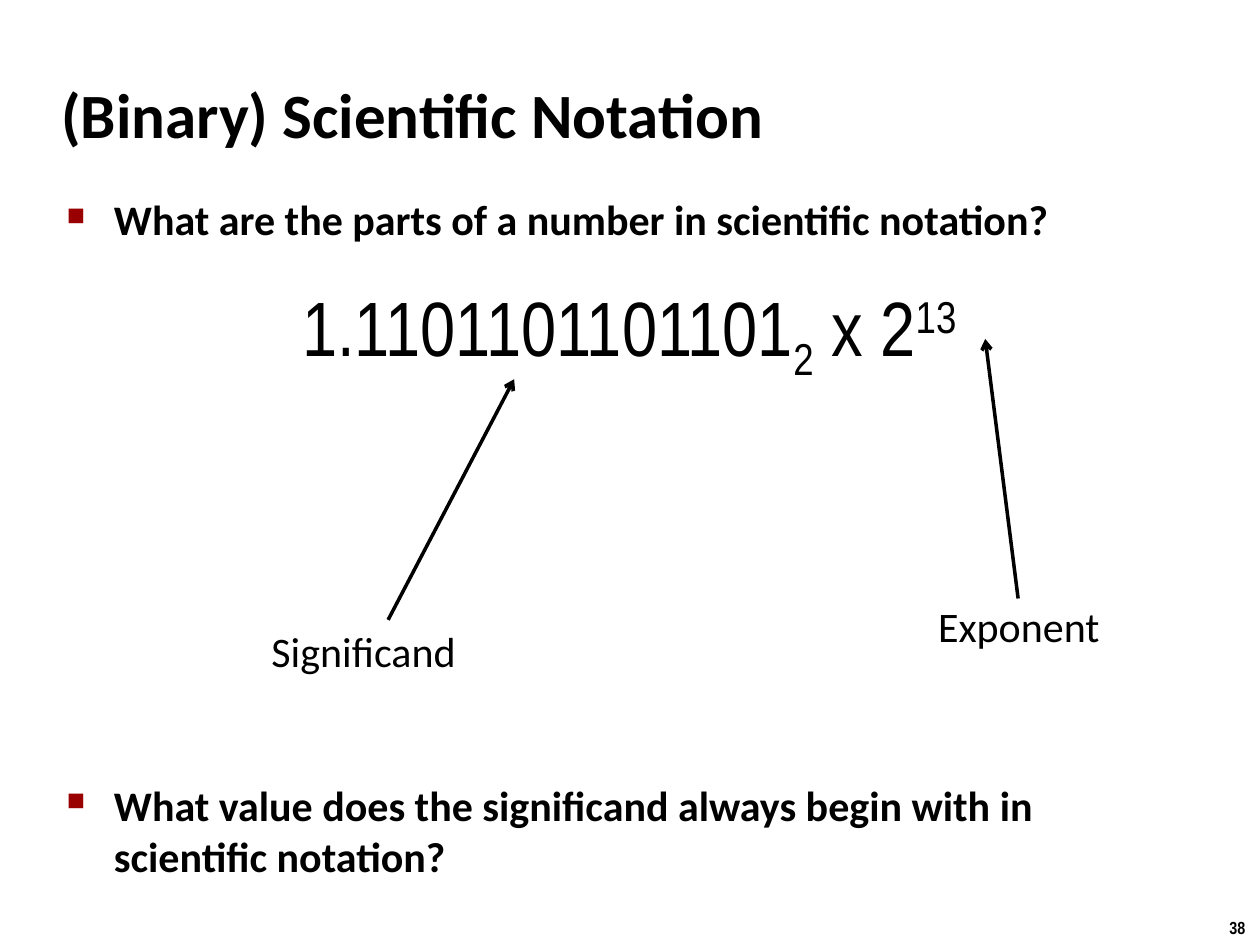
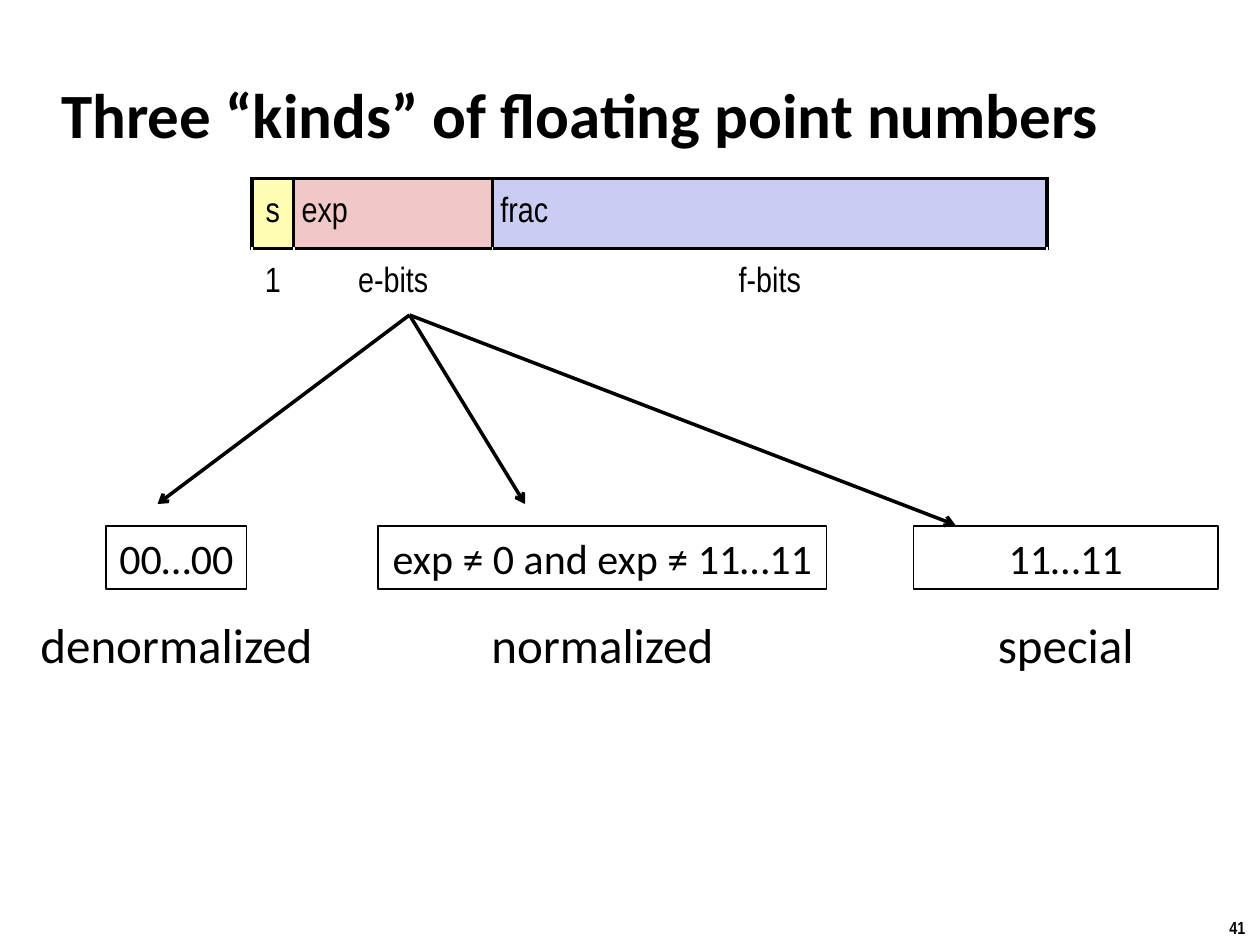
"""Build two slides on binary scientific notation and floating point numbers."""
from dataclasses import dataclass

from lxml import etree
from pptx import Presentation
from pptx.dml.color import RGBColor
from pptx.enum.shapes import MSO_CONNECTOR, MSO_SHAPE
from pptx.enum.text import MSO_ANCHOR, PP_ALIGN
from pptx.oxml.ns import qn
from pptx.slide import Slide
from pptx.table import _Cell
from pptx.text.text import TextFrame, _Paragraph
from pptx.util import Pt

STRAIGHT = MSO_CONNECTOR.STRAIGHT
RECTANGLE = MSO_SHAPE.RECTANGLE
TOP, MIDDLE = MSO_ANCHOR.TOP, MSO_ANCHOR.MIDDLE
LEFT, CENTER = PP_ALIGN.LEFT, PP_ALIGN.CENTER

BLACK = RGBColor(0x00, 0x00, 0x00)
BULLET_RED = RGBColor(0x99, 0x00, 0x00)
SIGN_YELLOW = RGBColor(0xFF, 0xFE, 0xB2)
EXPONENT_PINK = RGBColor(0xF1, 0xC7, 0xC7)
FRACTION_BLUE = RGBColor(0xCB, 0xCC, 0xF3)

BODY_FONT = "Calibri"
NARROW_FONT = "Arial Narrow"
BORDER_WIDTH = Pt(2)
CELL_INSET = Pt(4.5)
BULLET_INDENT = Pt(27)


@dataclass(frozen=True)
class Label:
    """A text box, in points, whose runs pair a text with a baseline percentage."""
    runs: list[tuple[str, int]]
    left: float
    top: float
    width: float
    height: float
    size: float = 24
    font: str = BODY_FONT
    bold: bool = False
    align: PP_ALIGN = CENTER
    anchor: MSO_ANCHOR = TOP
    wrap: bool = True
    outlined: bool = False


@dataclass(frozen=True)
class Arrow:
    """A straight arrow between two points."""
    start: tuple[float, float]
    end: tuple[float, float]


@dataclass(frozen=True)
class BitField:
    """One column of the bit layout table."""
    name: str
    bits: str
    width: float
    color: RGBColor
    align: PP_ALIGN = LEFT


@dataclass(frozen=True)
class NumberKind:
    """A kind of floating point number and its exponent pattern."""
    name: str
    pattern: str
    center: float
    pattern_width: float
    name_width: float


BIT_FIELDS = [
    BitField("s", "1", 23.9, SIGN_YELLOW, CENTER),
    BitField("exp", "e-bits", 113.6, EXPONENT_PINK),
    BitField("frac", "f-bits", 316.8, FRACTION_BLUE),
]
NUMBER_KINDS = [
    NumberKind("denormalized", "00…00", 100.8, 80.6, 171.4),
    NumberKind("normalized", "exp ≠ 0 and exp ≠ 11…11", 344.2, 256.3, 142.6),
    NumberKind("special", "11…11", 609, 174.2, 92.9),
]
KIND_ARROW_ENDS = [(90, 288), (300, 288), (546, 300)]


def set_font(paragraph: _Paragraph, size: float, name: str, bold: bool = False) -> None:
    """Apply the font values to every run of a paragraph."""
    values = {"name": name, "size": Pt(size), "bold": bold}
    for run in paragraph.runs:
        for attribute, value in values.items():
            setattr(run.font, attribute, value)
        run.font.color.rgb = BLACK


def add_label(slide: Slide, label: Label) -> TextFrame:
    """Draw a label and return its text frame."""
    box = Pt(label.left), Pt(label.top), Pt(label.width), Pt(label.height)
    if label.outlined:
        shape = slide.shapes.add_shape(RECTANGLE, *box)
        shape.shadow.inherit = False
        shape.fill.background()
        shape.line.color.rgb = BLACK
        shape.line.width = Pt(0.75)
    else:
        shape = slide.shapes.add_textbox(*box)
    frame = shape.text_frame
    values = {"word_wrap": label.wrap, "vertical_anchor": label.anchor}
    for attribute, value in values.items():
        setattr(frame, attribute, value)
    paragraph = frame.paragraphs[0]
    paragraph.alignment = label.align
    for text, baseline in label.runs:
        run = paragraph.add_run()
        run.text = text
        if baseline:
            run.font._element.set("baseline", str(baseline * 1000))
    set_font(paragraph, label.size, label.font, label.bold)
    return frame


def add_arrow(slide: Slide, arrow: Arrow) -> None:
    """Draw an open-headed arrow."""
    points = [Pt(value) for value in (*arrow.start, *arrow.end)]
    connector = slide.shapes.add_connector(STRAIGHT, *points)
    connector.line.color.rgb = BLACK
    connector.line.width = BORDER_WIDTH
    properties = connector._element.spPr
    etree.SubElement(properties.find(qn("a:ln")), qn("a:tailEnd"), type="arrow")
    etree.SubElement(properties, qn("a:effectLst"))


def add_bullets(slide: Slide, texts: list[str], gap: float) -> None:
    """Write square-bulleted bold paragraphs with a gap between them."""
    shape = slide.shapes.add_textbox(Pt(31), Pt(107.3), Pt(622), Pt(391.7))
    frame = shape.text_frame
    frame.word_wrap = True
    for index, text in enumerate(texts):
        paragraph = frame.add_paragraph() if index else frame.paragraphs[0]
        paragraph.text = text
        paragraph.space_before = Pt(gap if index else 0)
        properties = paragraph._p.get_or_add_pPr()
        properties.set("marL", str(BULLET_INDENT))
        properties.set("indent", str(-BULLET_INDENT))
        color = etree.SubElement(properties, qn("a:buClr"))
        etree.SubElement(color, qn("a:srgbClr"), val=str(BULLET_RED))
        etree.SubElement(properties, qn("a:buSzPct"), val="60000")
        etree.SubElement(properties, qn("a:buChar"), char="■")
        set_font(paragraph, 24, BODY_FONT, True)


def add_borders(cell: _Cell, sides: str) -> None:
    """Draw black borders on the sides given by their letters, in schema order."""
    properties = cell._tc.get_or_add_tcPr()
    for index, side in enumerate(sides):
        line = etree.Element(qn(f"a:ln{side}"), w=str(BORDER_WIDTH))
        fill = etree.SubElement(line, qn("a:solidFill"))
        etree.SubElement(fill, qn("a:srgbClr"), val=str(BLACK))
        properties.insert(index, line)


def fill_cell(cell: _Cell, text: str, align: PP_ALIGN) -> None:
    """Write the text of a table cell."""
    values = {"vertical_anchor": MIDDLE, "text": text}
    values |= {f"margin_{side}": CELL_INSET for side in ("left", "right", "top", "bottom")}
    for attribute, value in values.items():
        setattr(cell, attribute, value)
    paragraph = cell.text_frame.paragraphs[0]
    paragraph.alignment = align
    set_font(paragraph, 20, NARROW_FONT)


def add_bit_table(slide: Slide) -> None:
    """Draw the bit fields above their lengths."""
    width = sum(field.width for field in BIT_FIELDS)
    table = slide.shapes.add_table(
        2, len(BIT_FIELDS), Pt(144), Pt(102.2), Pt(width), Pt(80)).table
    table.first_row = table.horz_banding = False
    for column, field in enumerate(BIT_FIELDS):
        table.columns[column].width = Pt(field.width)
        name_cell, bits_cell = table.cell(0, column), table.cell(1, column)
        fill_cell(name_cell, field.name, field.align)
        name_cell.fill.solid()
        name_cell.fill.fore_color.rgb = field.color
        add_borders(name_cell, "LRTB")
        fill_cell(bits_cell, field.bits, CENTER)
        bits_cell.fill.background()
        add_borders(bits_cell, "T")


def add_titled_slide(presentation: Presentation, title: str, number: int) -> Slide:
    """Add a blank slide with a title and a slide number."""
    slide = presentation.slides.add_slide(presentation.slide_layouts[6])
    add_label(slide, Label([(str(number), 0)], 695.5, 520.5, 24.5, 19.5, size=10,
                           font=NARROW_FONT, bold=True, align=LEFT, wrap=False))
    add_label(slide, Label([(title, 0)], 28, 34.6, 662, 59.8, size=36,
                           bold=True, align=LEFT, anchor=MIDDLE))
    return slide


def build_notation_slide(presentation: Presentation) -> None:
    """Build the slide on the parts of a number in scientific notation."""
    slide = add_titled_slide(presentation, "(Binary) Scientific Notation", 38)
    add_bullets(slide, [
        "What are the parts of a number in scientific notation?",
        "What value does the significand always begin with in scientific notation?",
    ], gap=306)
    number_runs = [("1.1101101101101", 0), ("2", -25), (" x 2", 0), ("13", 30)]
    add_label(slide, Label(number_runs, 122.4, 156.2, 474.5, 60.5, size=44,
                           font=NARROW_FONT))
    add_arrow(slide, Arrow((221.8, 354.2), (293.8, 216.7)))
    add_arrow(slide, Arrow((581.8, 342), (563, 193.7)))
    add_label(slide, Label([("Significand", 0)], 27.4, 354.2, 360.7, 36))
    add_label(slide, Label([("Exponent", 0)], 401.8, 339.8, 360.7, 36))


def build_kinds_slide(presentation: Presentation) -> None:
    """Build the slide on the kinds of floating point numbers."""
    slide = add_titled_slide(presentation, "Three “kinds” of floating point numbers", 41)
    add_bit_table(slide)
    for end in KIND_ARROW_ENDS:
        add_arrow(slide, Arrow((234, 180), end))
    for kind in NUMBER_KINDS:
        add_label(slide, Label([(kind.pattern, 0)], kind.center - kind.pattern_width / 2,
                               300.6, kind.pattern_width, 36, wrap=False, outlined=True))
        add_label(slide, Label([(kind.name, 0)], kind.center - kind.name_width / 2,
                               347.8, kind.name_width, 41, size=28, wrap=False))


def main() -> None:
    """Build and save the presentation."""
    presentation = Presentation()
    presentation.slide_width = Pt(720)
    presentation.slide_height = Pt(540)
    build_notation_slide(presentation)
    build_kinds_slide(presentation)
    presentation.save("out.pptx")


if __name__ == "__main__":
    main()
